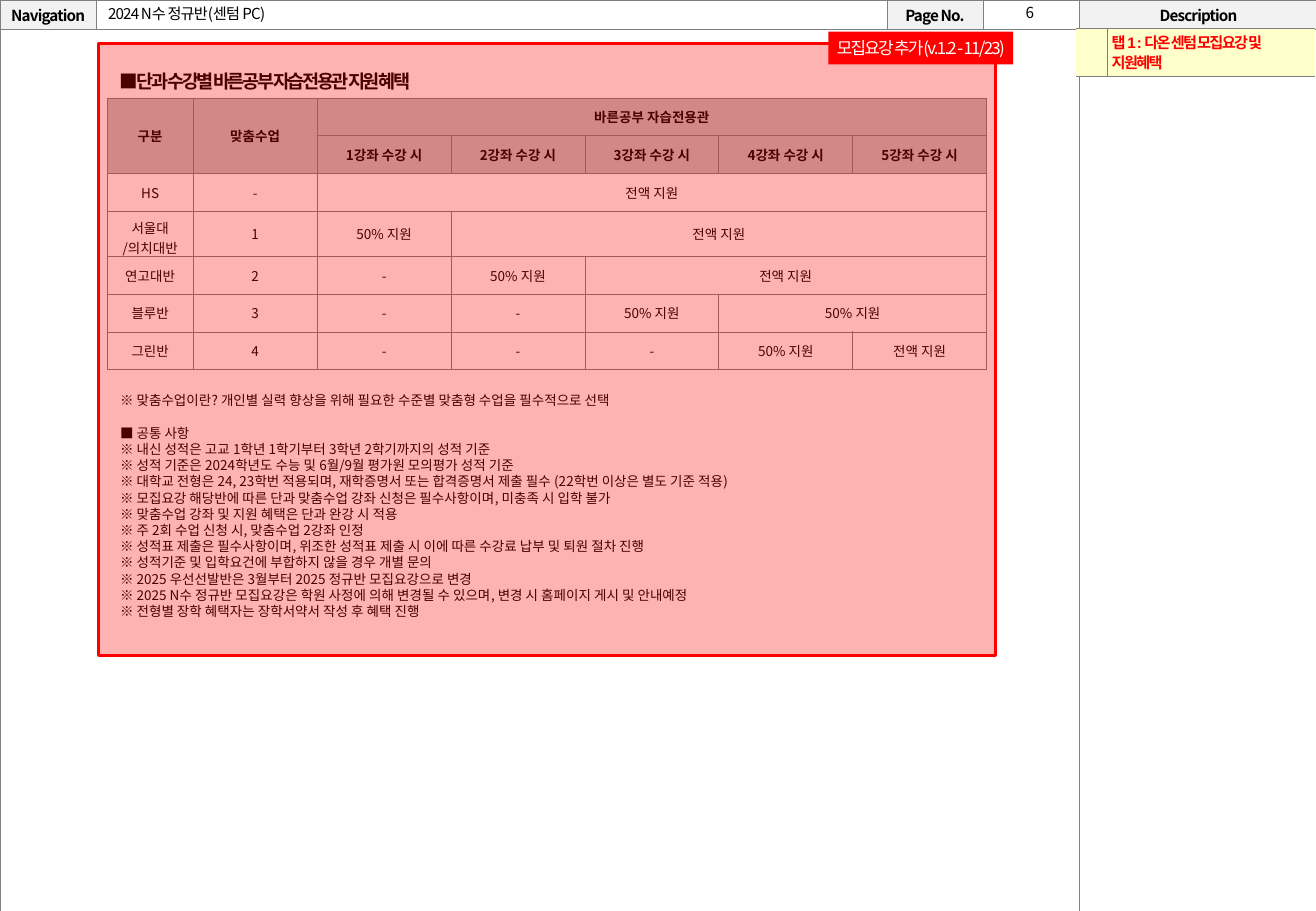
from dataclasses import dataclass
from typing import Callable, Optional

from lxml.etree import SubElement
from pptx import Presentation
from pptx.dml.color import RGBColor
from pptx.enum.shapes import MSO_SHAPE
from pptx.enum.text import MSO_ANCHOR as ANCHOR, PP_ALIGN as ALIGN
from pptx.oxml.ns import qn
from pptx.util import Cm, Pt

NOTO = "Noto Sans CJK KR"
GRAY = "808080"
RED = "FF0000"


@dataclass(frozen=True)
class Style:
    size: float
    spacing: float = 0
    bold: bool = False
    color: str = "000000"
    font: str = NOTO
    align: ALIGN = ALIGN.LEFT
    line: Optional[float] = None


@dataclass(frozen=True)
class Box:
    x: float
    y: float
    w: float
    h: float


@dataclass(frozen=True)
class Grid:
    x: float
    y: float
    cols: list[float]
    rows: list[float]
    cells: list[list[str]]
    style: Callable[[int], Style]
    fill: Callable[[int, str], str]
    margin: float = 0
    border: float = 0.25
    open_sides: bool = False


def rgb(value: str) -> RGBColor:
    return RGBColor.from_string(value)


def write(tf, text: str, st: Style) -> None:
    for i, line in enumerate(text.split("\n")):
        p = tf.paragraphs[0] if i == 0 else tf.add_paragraph()
        p.alignment = st.align
        if st.line:
            p.line_spacing = Pt(st.line) if st.line > 2 else st.line
        if not line:
            SubElement(p._p, qn("a:endParaRPr"), sz=str(int(st.size * 100)))
            continue
        r = p.add_run()
        r.text = line
        r.font.size = Pt(st.size)
        r.font.bold = st.bold
        r.font.name = st.font
        r.font.color.rgb = rgb(st.color)
        rpr = r._r.get_or_add_rPr()
        rpr.set("spc", str(int(st.spacing * 100)))
        SubElement(rpr, qn("a:ea"), typeface=NOTO)


def add_text(s, box: Box, text: str, st: Style, anchor=ANCHOR.TOP):
    tf = s.shapes.add_textbox(Cm(box.x), Cm(box.y), Cm(box.w), Cm(box.h)).text_frame
    tf.word_wrap = True
    tf.vertical_anchor = anchor
    write(tf, text, st)
    return tf


def add_rect(s, box: Box, color: str):
    sp = s.shapes.add_shape(MSO_SHAPE.RECTANGLE, Cm(box.x), Cm(box.y), Cm(box.w), Cm(box.h))
    sp.shadow.inherit = False
    sp.fill.solid()
    sp.fill.fore_color.rgb = rgb(color)
    return sp


def add_borders(cell, sides: str, width: float) -> None:
    tcpr = cell._tc.get_or_add_tcPr()
    for side in "LRTB":
        shown = side in sides
        ln = SubElement(tcpr, qn(f"a:ln{side}"), w=str(Pt(width) if shown else 0))
        fill = SubElement(ln, qn("a:solidFill" if shown else "a:noFill"))
        if shown:
            SubElement(fill, qn("a:srgbClr"), val=GRAY)


def add_grid(s, g: Grid) -> None:
    table = s.shapes.add_table(len(g.rows), len(g.cols), Cm(g.x), Cm(g.y),
                               Cm(sum(g.cols)), Cm(sum(g.rows))).table
    table.first_row = table.horz_banding = False
    for col, w in zip(table.columns, g.cols):
        col.width = Cm(w)
    for row, h in zip(table.rows, g.rows):
        row.height = Cm(h)
    ends = {}
    for r, texts in enumerate(g.cells):
        for c, text in enumerate(texts):
            cell = table.cell(r, c)
            sides = "TB"
            if not (g.open_sides and c == 0):
                sides += "L"
            if not (g.open_sides and c == len(texts) - 1):
                sides += "R"
            add_borders(cell, sides, g.border)
            cell.fill.solid()
            cell.fill.fore_color.rgb = rgb(g.fill(r, text))
            cell.margin_left = cell.margin_right = Cm(g.margin)
            cell.margin_top = cell.margin_bottom = Cm(g.margin)
            cell.vertical_anchor = ANCHOR.MIDDLE
            merged = text in ("<", "^")
            write(cell.text_frame, "" if merged else text, g.style(r))
            if "\n" in text:
                cell.margin_top = Cm(0.13)
            start = (r, c)
            if text == "<":
                start = next((r, k) for k in range(c, -1, -1) if texts[k] != "<")
            elif text == "^":
                start = next((k, c) for k in range(r, -1, -1) if g.cells[k][c] != "^")
            ends[start] = (r, c)
    for start, end in ends.items():
        if start != end:
            table.cell(*start).merge(table.cell(*end))


FRAME = Style(9, -0.5, True, align=ALIGN.CENTER)
HEAD = Style(8, bold=True, align=ALIGN.CENTER)
BODY = Style(8, align=ALIGN.CENTER)
TAB = Style(9, -1, True, RED, "Arial", line=0.9)

PAGE_FRAME = Grid(
    0, 0, [2.01, 16.53, 2.01, 2.01, 4.99], [0.61, 18.46],
    [["Navigation", "", "Page No.", "", "Description"], ["", "<", "<", "<", ""]],
    lambda r: FRAME, lambda r, text: "F2F2F2" if text not in ("", "<") else "FFFFFF")

DESCRIPTION = Grid(
    22.5, 0.58, [0.64, 4.35], [1.02], [["", "탭 1 : 다온 센텀 모집요강 및 지원혜택"]],
    lambda r: TAB, lambda r, text: "FFFFCC", margin=0.1, open_sides=True)

BENEFITS = Grid(
    2.24, 2.05, [1.8, 2.59] + [2.8] * 5, [0.79] * 3 + [0.94] + [0.79] * 3,
    [["구분", "맞춤수업", "바른공부 자습전용관", "<", "<", "<", "<"],
     ["^", "^"] + [f"{n}강좌 수강 시" for n in range(1, 6)],
     ["HS", "-", "전액 지원", "<", "<", "<", "<"],
     ["서울대\n/의치대반", "1", "50% 지원", "전액 지원", "<", "<", "<"],
     ["연고대반", "2", "-", "50% 지원", "전액 지원", "<", "<"],
     ["블루반", "3", "-", "-", "50% 지원", "50% 지원", "<"],
     ["그린반", "4", "-", "-", "-", "50% 지원", "전액 지원"]],
    lambda r: HEAD if r < 2 else BODY, lambda r, text: "C2C2C2" if r < 2 else "FFFFFF",
    border=0.5)

NOTES = """※ 맞춤수업이란? 개인별 실력 향상을 위해 필요한 수준별 맞춤형 수업을 필수적으로 선택
■ 공통 사항
※ 내신 성적은 고교 1학년 1학기부터 3학년 2학기까지의 성적 기준
※ 성적 기준은 2024학년도 수능 및 6월/9월 평가원 모의평가 성적 기준
※ 대학교 전형은 24, 23학번 적용되며, 재학증명서 또는 합격증명서 제출 필수 (22학번 이상은 별도 기준 적용)
※ 모집요강 해당반에 따른 단과 맞춤수업 강좌 신청은 필수사항이며, 미충족 시 입학 불가
※ 맞춤수업 강좌 및 지원 혜택은 단과 완강 시 적용
※ 주 2회 수업 신청 시, 맞춤수업 2강좌 인정
※ 성적표 제출은 필수사항이며, 위조한 성적표 제출 시 이에 따른 수강료 납부 및 퇴원 절차 진행
※ 성적기준 및 입학요건에 부합하지 않을 경우 개별 문의
※ 2025 우선선발반은 3월부터 2025 정규반 모집요강으로 변경
※ 2025 N수 정규반 모집요강은 학원 사정에 의해 변경될 수 있으며, 변경 시 홈페이지 게시 및 안내예정
※ 전형별 장학 혜택자는 장학서약서 작성 후 혜택 진행"""


def main() -> None:
    prs = Presentation()
    prs.slide_width, prs.slide_height = Cm(27.51), Cm(19.05)
    s = prs.slides.add_slide(prs.slide_layouts[6])

    add_grid(s, PAGE_FRAME)
    add_text(s, Box(20.55, -0.05, 1.96, 0.64), "6", Style(9, -0.5, align=ALIGN.CENTER))
    add_text(s, Box(2.01, 0, 16.56, 0.58), "2024 N수 정규반(센텀 PC)", Style(9, -0.5), ANCHOR.MIDDLE)
    add_grid(s, DESCRIPTION)
    add_text(s, Box(2.24, 1.32, 13.79, 0.74), "■ 단과 수강별 바른공부 자습전용관 지원 혜택",
             Style(11, -1.5, True, font="Arial", line=13.5))
    add_grid(s, BENEFITS)
    tf = add_text(s, Box(2.26, 8.08, 18.36, 5.05), NOTES, Style(8, align=ALIGN.JUSTIFY, line=9.6))
    tf.paragraphs[1].space_before = Pt(9.6)

    sp = add_rect(s, Box(2.06, 0.91, 18.75, 12.8), RED)
    SubElement(sp.fill._xPr.find(qn("a:solidFill"))[0], qn("a:alpha"), val="30000")
    sp.line.color.rgb = rgb(RED)
    sp.line.width = Pt(1.5)

    sp = add_rect(s, Box(17.32, 0.66, 3.86, 0.69), RED)
    sp.line.fill.background()
    sp.text_frame.word_wrap = False
    sp.text_frame.vertical_anchor = ANCHOR.MIDDLE
    write(sp.text_frame, "모집요강 추가(v.1.2 - 11/23)",
          Style(10, -1, color="FFFFFF", align=ALIGN.CENTER))
    prs.save("out.pptx")


if __name__ == "__main__":
    main()
